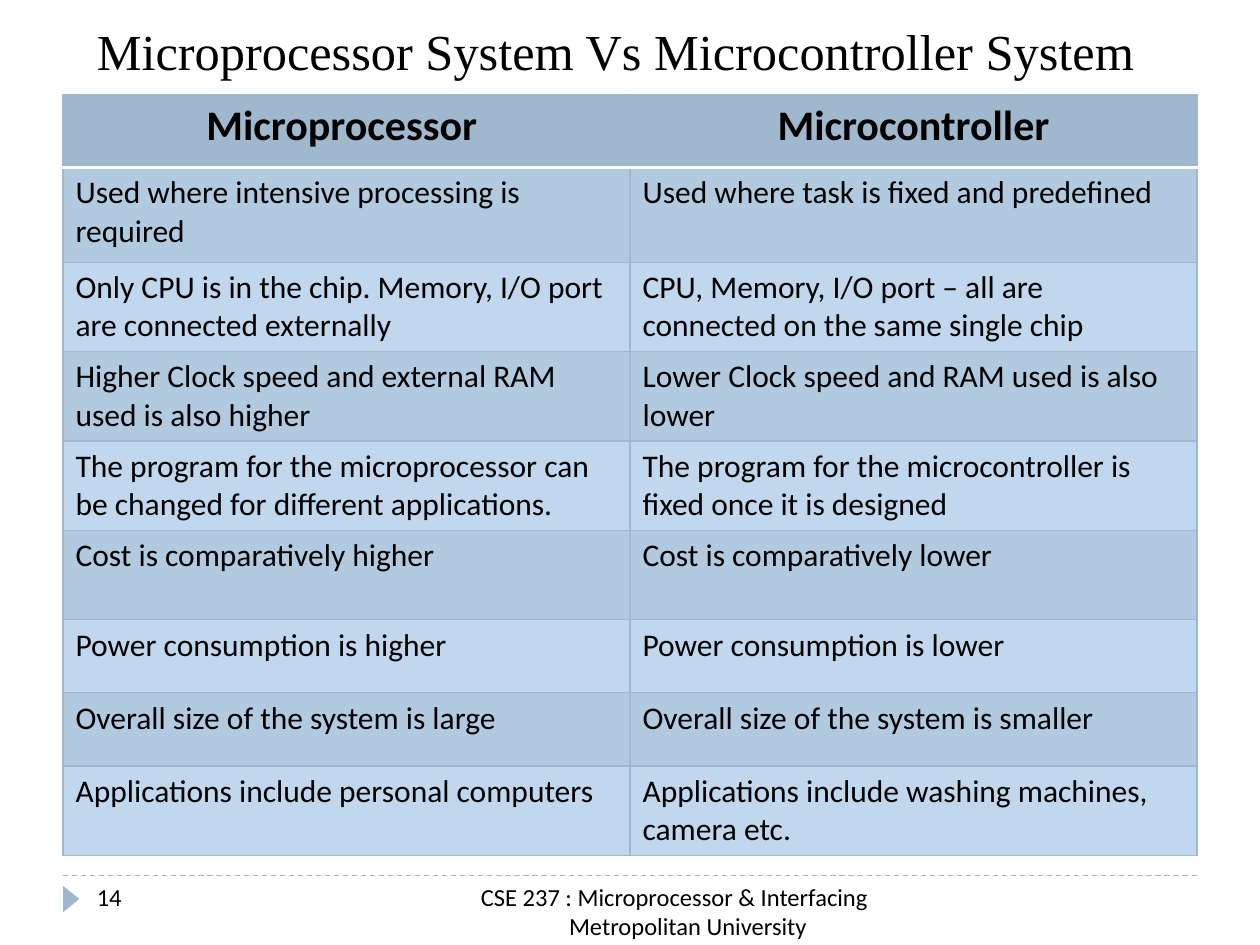
from lxml import etree
from pptx import Presentation
from pptx.dml.color import RGBColor
from pptx.enum.dml import MSO_LINE
from pptx.enum.shapes import MSO_CONNECTOR, MSO_SHAPE
from pptx.enum.text import MSO_ANCHOR, PP_ALIGN
from pptx.oxml.ns import qn
from pptx.util import Inches, Pt

LEFT, CENTER = PP_ALIGN.LEFT, PP_ALIGN.CENTER
TOP, BOTTOM = MSO_ANCHOR.TOP, MSO_ANCHOR.BOTTOM
DASH = MSO_LINE.DASH
BLACK = RGBColor(0x00, 0x00, 0x00)
WHITE = RGBColor(0xFF, 0xFF, 0xFF)
STEEL = RGBColor(0x9F, 0xB8, 0xCD)
DARK = RGBColor(0xB2, 0xCA, 0xE0)
LIGHT = RGBColor(0xC0, 0xD7, 0xED)

TITLE = "Microprocessor System Vs Microcontroller System"
NUMBER = "14"
FOOTER = ["CSE 237 : Microprocessor & Interfacing ", "Metropolitan University"]
ROWS = [  # height, left cell, right cell
    (0.58, "Microprocessor ", "Microcontroller"),
    (0.75, "Used where intensive processing is required",
     "Used where task is fixed and predefined"),
    (0.71, "Only CPU is in the chip. Memory, I/O port are connected externally",
     "CPU, Memory, I/O port – all are connected on the same single chip"),
    (0.71, "Higher Clock speed and external RAM used is also higher",
     "Lower Clock speed and RAM used is also lower"),
    (0.71, "The program for the microprocessor can be changed for different applications.",
     "The program for the microcontroller is fixed once it is designed"),
    (0.71, "Cost is comparatively higher", "Cost is comparatively lower"),
    (0.58, "Power consumption is higher", "Power consumption is lower"),
    (0.58, "Overall size of the system is large",
     "Overall size of the system is smaller"),
    (0.71, "Applications include personal computers",
     "Applications include washing machines, camera etc."),
]


def style(para, size, font="Calibri", bold=False, align=LEFT):
    para.alignment = align
    for run in para.runs:
        run.font.size, run.font.name, run.font.bold = Pt(size), font, bold
        run.font.color.rgb = BLACK


def add_text(slide, box, lines, size, font="Calibri", align=LEFT, anchor=TOP):
    frame = slide.shapes.add_textbox(*map(Inches, box)).text_frame
    frame.word_wrap = True
    frame.vertical_anchor = anchor
    frame.text = "\n".join(lines)
    for para in frame.paragraphs:
        style(para, size, font, align=align)
    return frame


def set_border(cell, side, color, width):
    """Side is one of L, R, T, B."""
    line = etree.SubElement(cell._tc.get_or_add_tcPr(), qn(f"a:ln{side}"),
                            w=str(Pt(width)))
    fill = etree.SubElement(line, qn("a:solidFill"))
    etree.SubElement(fill, qn("a:srgbClr"), val=str(color))


def add_grid(slide):
    high = sum(row[0] for row in ROWS)
    table = slide.shapes.add_table(len(ROWS), 2, Inches(0.5), Inches(0.75),
                                   Inches(9), Inches(high)).table
    for r, (tall, *texts) in enumerate(ROWS):
        table.rows[r].height = Inches(tall)
        head = r == 0
        for c, text in enumerate(texts):
            cell = table.cell(r, c)
            cell.text = text
            style(cell.text_frame.paragraphs[0], 24 if head else 18,
                  bold=head, align=CENTER if head else LEFT)
            for side in "LRTB":
                white = (r, side) in ((0, "B"), (1, "T"))
                set_border(cell, side, WHITE if white else STEEL,
                           1.5 if white else 0.75)
            cell.fill.solid()
            cell.fill.fore_color.rgb = STEEL if head else DARK if r % 2 else LIGHT


def main():
    deck = Presentation()
    deck.slide_width, deck.slide_height = Inches(10), Inches(7.5)
    slide = deck.slides.add_slide(deck.slide_layouts[6])

    rule = slide.shapes.add_connector(MSO_CONNECTOR.STRAIGHT, Inches(0.5),
                                      Inches(6.95), Inches(9.5), Inches(6.95))
    rule.line.color.rgb, rule.line.width = STEEL, Pt(0.75)
    rule.line.dash_style = DASH
    etree.SubElement(rule._element.spPr, qn("a:effectLst"))

    mark = slide.shapes.add_shape(MSO_SHAPE.ISOSCELES_TRIANGLE, Inches(0.46),
                                  Inches(7.07), Inches(0.21), Inches(0.13))
    mark.rotation = 90
    mark.shadow.inherit = False
    mark.fill.solid()
    mark.fill.fore_color.rgb = STEEL
    mark.line.fill.background()

    add_text(slide, (0.67, -0.39, 9, 1.08), [TITLE], 28.8, "Times New Roman",
             anchor=BOTTOM)
    add_text(slide, (0.67, 6.95, 2.17, 0.4), [NUMBER], 14)
    add_grid(slide)
    foot = add_text(slide, (2, 6.95, 6.75, 0.4), FOOTER, 14, align=CENTER)
    indent = foot.paragraphs[1]._p.get_or_add_pPr()
    indent.set("marL", str(Inches(0.17)))

    deck.save("out.pptx")


if __name__ == "__main__":
    main()
